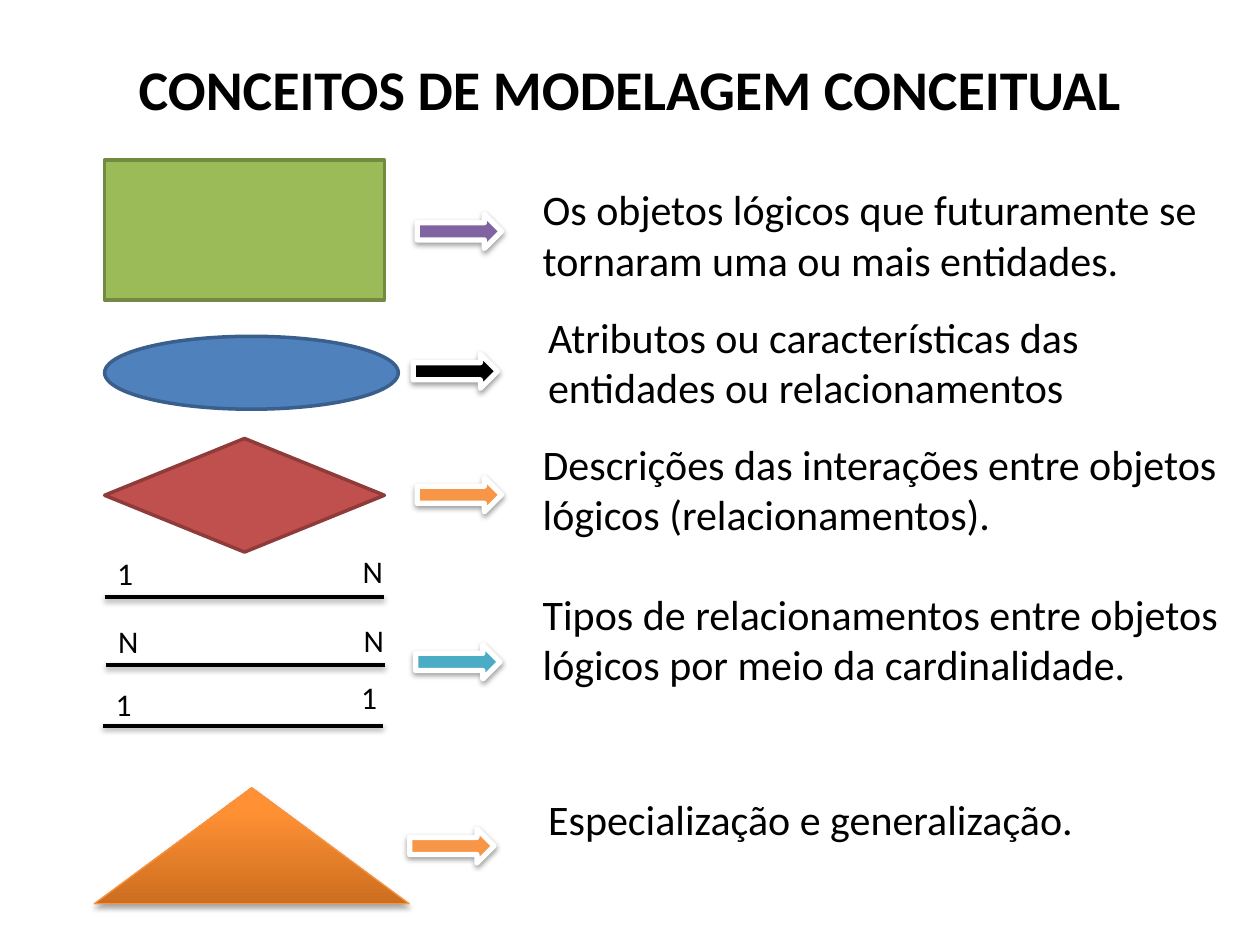
from lxml import etree
from pptx import Presentation
from pptx.dml.color import RGBColor
from pptx.enum.shapes import MSO_CONNECTOR, MSO_SHAPE
from pptx.enum.text import MSO_ANCHOR, MSO_AUTO_SIZE, PP_ALIGN
from pptx.oxml.ns import qn
from pptx.util import Cm, Pt

RECT, OVAL = MSO_SHAPE.RECTANGLE, MSO_SHAPE.OVAL
DIAMOND, TRIANGLE = MSO_SHAPE.DIAMOND, MSO_SHAPE.ISOSCELES_TRIANGLE
ARROW, STRAIGHT = MSO_SHAPE.RIGHT_ARROW, MSO_CONNECTOR.STRAIGHT
LEFT, MIDDLE = PP_ALIGN.LEFT, MSO_ANCHOR.MIDDLE
FIT_SHAPE, NO_FIT = MSO_AUTO_SIZE.SHAPE_TO_FIT_TEXT, MSO_AUTO_SIZE.NONE

COLORS = {
    "black": "000000", "white": "FFFFFF",
    "green": "9BBB59", "green_line": "738A42",
    "blue": "4F81BD", "blue_line": "3A5F8C",
    "red": "C0504D", "red_line": "8E3B39",
    "purple": "8064A2", "orange": "F79646", "aqua": "4BACC6",
    "orange_dark": "CC6E20", "orange_light": "FF9034", "orange_line": "F69240",
}
TITLE_FONT = {"name": "Calibri", "size": Pt(32), "bold": True}
BODY_FONT = {"name": "Calibri", "size": Pt(24)}
LABEL_FONT = {"name": "Calibri", "size": Pt(18)}

SYMBOLS = [
    (RECT, (2.11, 3.23, 5.64, 2.82), "green"),
    (OVAL, (2.11, 6.78, 5.92, 1.47), "blue"),
    (DIAMOND, (2.11, 8.84, 5.64, 2.29), "red"),
]
ARROWS = [
    (8.41, 4.32, "purple"),
    (8.33, 7.14, "black"),
    (8.41, 9.63, "orange"),
    (8.38, 13, "aqua"),
    (8.26, 16.71, "orange"),
]
DESCRIPTIONS = [
    (10.69, 3.58, 2.31, "Os objetos lógicos que futuramente se tornaram uma ou mais entidades."),
    (10.8, 6.15, 2.31, "Atributos ou características das entidades ou relacionamentos"),
    (10.69, 8.71, 2.31, "Descrições das interações entre objetos lógicos (relacionamentos)."),
    (10.69, 11.73, 2.31, "Tipos de relacionamentos entre objetos lógicos por meio da cardinalidade."),
    (10.8, 15.88, 1.27, "Especialização e generalização."),
]
CARDINALITIES = [
    (2.11, 12.04, ("1", 11.05), ("N", 11)),
    (2.13, 13.41, ("N", 12.42), ("N", 12.4)),
    (2.08, 14.63, ("1", 13.69), ("1", 13.54)),
]


def rgb(name):
    return RGBColor.from_string(COLORS[name])


def write(tf, text, font):
    p = tf.paragraphs[0]
    p.alignment = LEFT
    r = p.add_run()
    r.text = text
    for key, value in font.items():
        setattr(r.font, key, value)
    r.font.color.rgb = rgb("black")


def add_shadow(effects, alpha=38000, dist=20000):
    shadow = etree.SubElement(effects, qn("a:outerShdw"), blurRad="40000",
                              dist=str(dist), dir="5400000", rotWithShape="0")
    color = etree.SubElement(shadow, qn("a:srgbClr"), val=COLORS["black"])
    etree.SubElement(color, qn("a:alpha"), val=str(alpha))


def add_title(s, text):
    sp = s.shapes.title
    sp.left, sp.top, sp.width, sp.height = map(Cm, (2.54, 0.84, 22.86, 1.88))
    tf = sp.text_frame
    tf.auto_size, tf.vertical_anchor = NO_FIT, MIDDLE
    write(tf, text, TITLE_FONT)


def add_symbol(s, kind, box, fill, line, width):
    sp = s.shapes.add_shape(kind, *map(Cm, box))
    sp.fill.solid()
    sp.fill.fore_color.rgb = rgb(fill)
    sp.line.color.rgb = rgb(line)
    sp.line.width = Pt(width)
    sp.shadow.inherit = False
    return sp


def add_arrow(s, x, y, color):
    sp = add_symbol(s, ARROW, (x, y, 1.7, 0.69), color, "white", 3)
    add_shadow(sp.element.spPr.find(qn("a:effectLst")))


def add_triangle(s):
    sp = add_symbol(s, TRIANGLE, (1.9, 15.88, 6.35, 2.34),
                    "orange", "orange_line", 0.75)
    sp.fill.gradient()
    sp.fill.gradient_angle = 90
    stops = zip(sp.fill.gradient_stops,
                ((0, "orange_dark"), (0.8, "orange_light")))
    for stop, (position, color) in stops:
        stop.position = position
        stop.color.rgb = rgb(color)
    add_shadow(sp.element.spPr.find(qn("a:effectLst")), 35000, 23000)


def add_text(s, box, text, font, wrap):
    tf = s.shapes.add_textbox(*map(Cm, box)).text_frame
    tf.word_wrap, tf.auto_size = wrap, FIT_SHAPE
    write(tf, text, font)


def add_cardinality(s, x, y, *labels):
    cxn = s.shapes.add_connector(STRAIGHT, Cm(x), Cm(y), Cm(x + 5.64), Cm(y))
    cxn.line.color.rgb = rgb("black")
    cxn.line.width = Pt(2)
    add_shadow(etree.SubElement(cxn._element.spPr, qn("a:effectLst")))
    for i, (text, top) in enumerate(labels):
        width = 0.91 if text == "N" else 0.84
        add_text(s, (x + i * 4.95, top, width, 1.02), text, LABEL_FONT, False)


def main():
    prs = Presentation()
    prs.slide_width, prs.slide_height = Cm(25.4), Cm(19.05)
    s = prs.slides.add_slide(prs.slide_layouts[5])
    add_title(s, "CONCEITOS DE MODELAGEM CONCEITUAL")
    for kind, box, color in SYMBOLS:
        add_symbol(s, kind, box, color, color + "_line", 2)
    add_triangle(s)
    for arrow in ARROWS:
        add_arrow(s, *arrow)
    for x, y, height, text in DESCRIPTIONS:
        add_text(s, (x, y, 14.3, height), text, BODY_FONT, True)
    for cardinality in CARDINALITIES:
        add_cardinality(s, *cardinality)
    prs.save("out.pptx")


if __name__ == "__main__":
    main()
